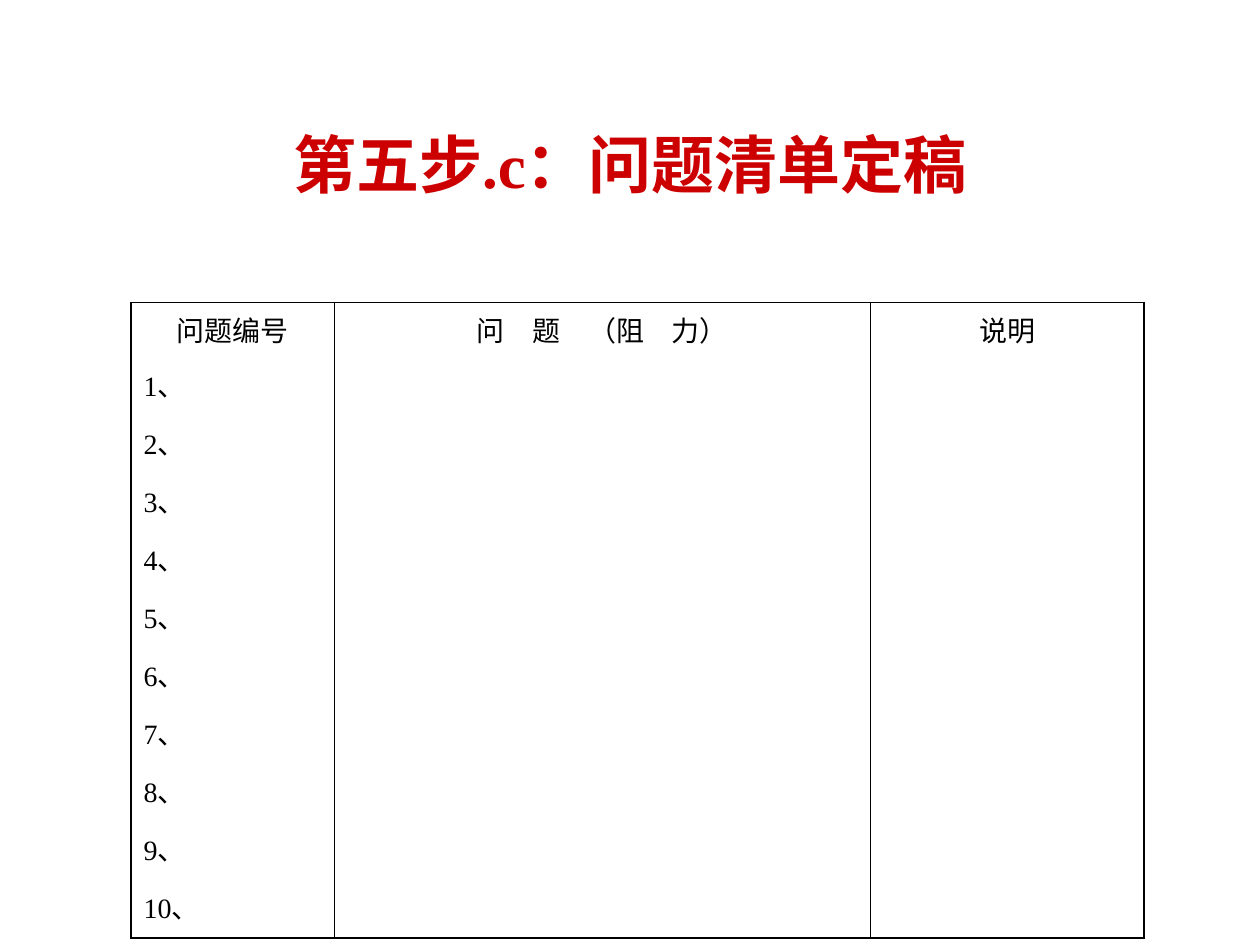
from lxml import etree
from pptx import Presentation
from pptx.dml.color import RGBColor
from pptx.enum.text import MSO_ANCHOR, PP_ALIGN
from pptx.oxml.ns import qn
from pptx.util import Inches, Pt

CENTER, LEFT = PP_ALIGN.CENTER, PP_ALIGN.LEFT
MIDDLE = MSO_ANCHOR.MIDDLE
FONT = "Times New Roman"
OUTER, INNER = 1.08, 0.45


def format_text(para, size, color, align, bold=False):
    para.alignment = align
    for span in para.runs:
        span.font.name = FONT
        span.font.size = Pt(size)
        span.font.bold = bold
        span.font.color.rgb = RGBColor.from_string(color)


def set_border(cell, side, width):
    """Draw one black cell edge, or none where width is 0."""
    line = etree.SubElement(cell._tc.get_or_add_tcPr(), qn(f"a:ln{side}"),
                            w=str(Pt(width)))
    if width:
        fill = etree.SubElement(line, qn("a:solidFill"))
        etree.SubElement(fill, qn("a:srgbClr"), val="000000")
    else:
        etree.SubElement(line, qn("a:noFill"))


deck = Presentation()
deck.slide_width, deck.slide_height = Inches(10), Inches(7.5)
page = deck.slides.add_slide(deck.slide_layouts[5])

title = page.shapes.title
title.left, title.top = Inches(0.75), Inches(0.67)
title.width, title.height = Inches(8.5), Inches(1.25)
title.text_frame.text = "第五步.c：问题清单定稿"
title.text_frame.vertical_anchor = MIDDLE
format_text(title.text_frame.paragraphs[0], 36, "CC0000", CENTER, bold=True)

headers = ["问题编号", "问　题　（阻　力）", "说明"]
rows = [headers] + [[f"{number}、", "", ""] for number in range(1, 11)]
widths = [1.61, 4.26, 2.17]
row_height = 0.37
last_row, last_column = len(rows) - 1, len(widths) - 1

frame = page.shapes.add_table(len(rows), len(widths), Inches(1.04), Inches(2.4),
                              Inches(sum(widths)), Inches(row_height * len(rows)))
table = frame.table
table.first_row = table.horz_banding = False
for column, width in zip(table.columns, widths):
    column.width = Inches(width)

for r, row in enumerate(rows):
    table.rows[r].height = Inches(row_height)
    for c, text in enumerate(row):
        cell = table.cell(r, c)
        cell.text_frame.text = text
        cell.vertical_anchor = MIDDLE
        cell.margin_left = cell.margin_right = Inches(0.1)
        cell.margin_top = Inches(0.05)
        cell.margin_bottom = Inches(0.07 if r == 0 else 0.09)
        format_text(cell.text_frame.paragraphs[0], 16, "000000",
                    CENTER if r == 0 else LEFT)
        set_border(cell, "L", OUTER if c == 0 else INNER)
        set_border(cell, "R", OUTER if c == last_column else INNER)
        set_border(cell, "T", OUTER if r == 0 else 0)
        set_border(cell, "B", OUTER if r == last_row else 0)
        cell.fill.background()

deck.save("out.pptx")
